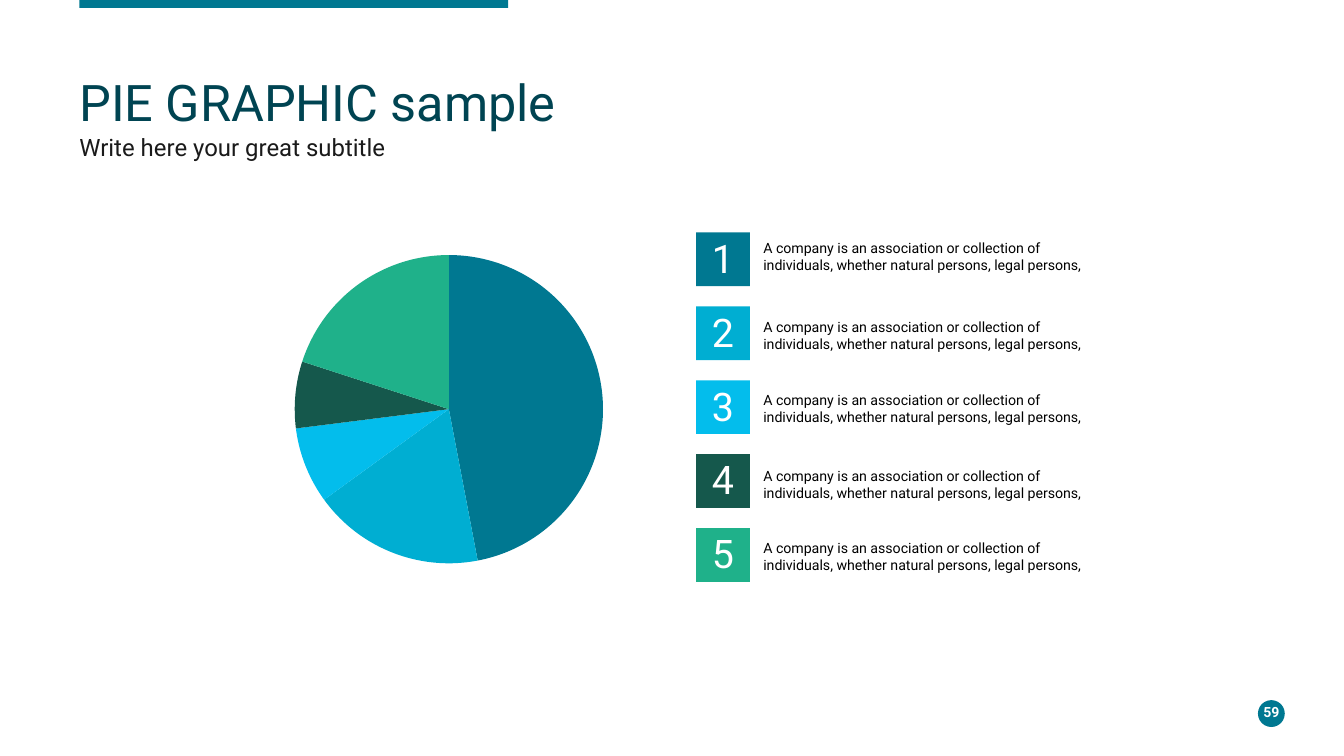
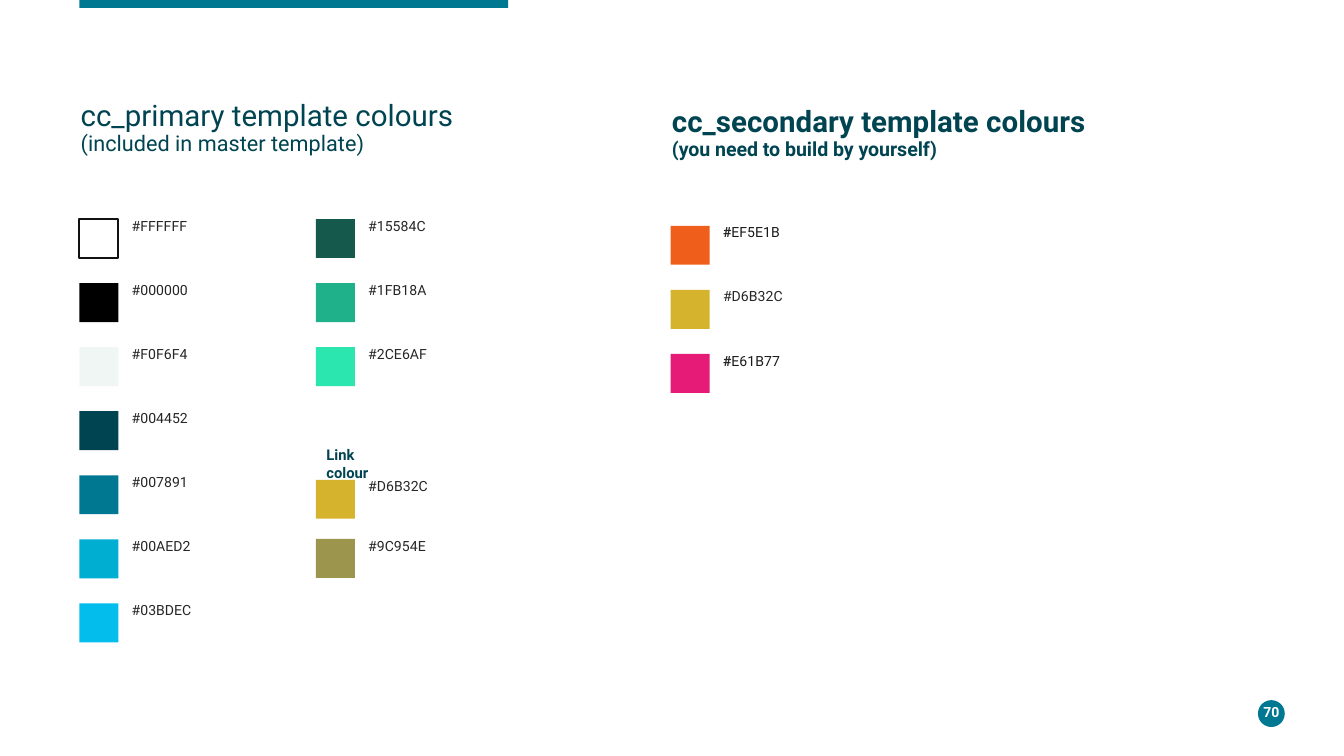
from dataclasses import dataclass

from pptx import Presentation
from pptx.chart.data import CategoryChartData
from pptx.dml.color import RGBColor
from pptx.enum.chart import XL_CHART_TYPE
from pptx.enum.shapes import MSO_SHAPE
from pptx.enum.text import MSO_ANCHOR, MSO_AUTO_SIZE, PP_ALIGN
from pptx.presentation import Presentation as Deck
from pptx.shapes.autoshape import Shape
from pptx.slide import Slide, SlideLayout
from pptx.text.text import Font, TextFrame
from pptx.util import Inches, Pt

RECTANGLE, OVAL = MSO_SHAPE.RECTANGLE, MSO_SHAPE.OVAL
TOP, MIDDLE = MSO_ANCHOR.TOP, MSO_ANCHOR.MIDDLE
LEFT, CENTER = PP_ALIGN.LEFT, PP_ALIGN.CENTER
NO_AUTOFIT = MSO_AUTO_SIZE.NONE
PIE = XL_CHART_TYPE.PIE
TITLE_ONLY = 5
PAGE_WIDTH = 10
PAGE_HEIGHT = PAGE_WIDTH * 9 / 16


@dataclass(frozen=True)
class Theme:
    font: str = "Roboto"
    white: str = "FFFFFF"
    black: str = "000000"
    heading: str = "004452"
    accent: str = "007891"
    subtitle: str = "1A1A1A"
    label: str = "262626"
    outline: str = "121212"
    title_size: float = 27
    heading_size: float = 15.8
    heading_note_size: float = 11.6
    secondary_note_size: float = 10.5
    subtitle_size: float = 12.8
    numeral_size: float = 21.1
    chart_size: float = 23.1
    body_size: float = 7.6
    label_size: float = 7.5
    link_size: float = 7.9
    tight: float = 0.9


THEME = Theme()


@dataclass(frozen=True)
class Area:
    left: float
    top: float
    width: float
    height: float


@dataclass(frozen=True)
class Span:
    text: str
    size: float
    color: str
    bold: bool = False


@dataclass(frozen=True)
class Entry:
    color: str
    share: int
    text_top: float


@dataclass(frozen=True)
class SwatchColumn:
    left: float
    top: float
    pitch: float
    codes: tuple[str, ...]


NO_INSET = (0, 0)
SMALL_INSET = (0.08, 0.04)
DEFAULT_INSET = (0.1, 0.05)

ENTRY_TEXT = (
    "A company is an association or collection of individuals, "
    "whether natural persons, legal persons,"
)
ENTRIES = (
    Entry("007891", 47, 1.74),
    Entry("00AED2", 18, 2.33),
    Entry("03BDEC", 8, 2.87),
    Entry("15584C", 7, 3.44),
    Entry("1FB18A", 20, 3.97),
)
ENTRY_LEFT, ENTRY_TOP, ENTRY_PITCH, ENTRY_SIDE = 5.18, 1.73, 0.55, 0.4

SWATCH_SIDE = 0.29
SWATCH_PITCH = 2.86 / 6
SWATCH_COLUMNS = (
    SwatchColumn(0.59, 1.63, SWATCH_PITCH,
                 ("FFFFFF", "000000", "F0F6F4", "004452", "007891", "00AED2", "03BDEC")),
    SwatchColumn(2.35, 1.63, SWATCH_PITCH, ("15584C", "1FB18A", "2CE6AF")),
    SwatchColumn(2.35, 3.57, 0.44, ("D6B32C", "9C954E")),
    SwatchColumn(4.99, 1.68, SWATCH_PITCH, ("EF5E1B", "D6B32C", "E61B77")),
)
BOLD_HASH_CODES = ("EF5E1B", "E61B77")


def rgb(color: str) -> RGBColor:
    return RGBColor.from_string(color)


def lengths(area: Area) -> tuple[Inches, ...]:
    return tuple(Inches(n) for n in (area.left, area.top, area.width, area.height))


def style_font(font: Font, span: Span) -> None:
    font.name = THEME.font
    font.size = Pt(span.size)
    font.color.rgb = rgb(span.color)
    font.bold = span.bold


def set_frame(frame: TextFrame, inset: tuple[float, float], anchor: MSO_ANCHOR) -> None:
    frame.word_wrap = True
    frame.auto_size = NO_AUTOFIT
    frame.vertical_anchor = anchor
    frame.margin_left = frame.margin_right = Inches(inset[0])
    frame.margin_top = frame.margin_bottom = Inches(inset[1])


def add_text(
    page: Slide,
    area: Area,
    *lines: tuple[Span, ...],
    inset: tuple[float, float] = NO_INSET,
    anchor: MSO_ANCHOR = TOP,
    align: PP_ALIGN = LEFT,
    spacing: float = 1.0,
) -> None:
    """Add a text box with one paragraph for each line of spans."""
    frame = page.shapes.add_textbox(*lengths(area)).text_frame
    set_frame(frame, inset, anchor)
    for index, spans in enumerate(lines):
        para = frame.add_paragraph() if index else frame.paragraphs[0]
        para.alignment = align
        para.line_spacing = spacing
        for span in spans:
            run = para.add_run()
            run.text = span.text
            if len(spans) > 1:
                style_font(run.font, span)
        if len(spans) == 1:
            style_font(para.font, spans[0])


def add_block(
    page: Slide, area: Area, color: str, kind: MSO_SHAPE = RECTANGLE, outline: str | None = None
) -> Shape:
    block = page.shapes.add_shape(kind, *lengths(area))
    block.shadow.inherit = False
    block.fill.solid()
    block.fill.fore_color.rgb = rgb(color)
    if outline:
        block.line.color.rgb = rgb(outline)
        block.line.width = Pt(1)
    else:
        block.line.fill.background()
    return block


def decorate_layout(layout: SlideLayout, page: Slide) -> None:
    """Draw the top band and number badge, then move them to the shared layout."""
    band = add_block(page, Area(0.59, 0, 3.19, 0.06), THEME.accent)
    badge = add_block(page, Area(9.36, 5.21, 0.2, 0.2), THEME.accent, OVAL)
    for block in (band, badge):
        layout.shapes.element.append(block.element)


def set_title(page: Slide, area: Area, *spans: Span) -> None:
    """Fill the title placeholder, one span to a line."""
    title = page.shapes.title
    title.left, title.top, title.width, title.height = lengths(area)
    set_frame(title.text_frame, NO_INSET, TOP)
    para = title.text_frame.paragraphs[0]
    para.alignment = LEFT
    para.line_spacing = THEME.tight
    for index, span in enumerate(spans):
        if index:
            para.add_line_break()
        run = para.add_run()
        run.text = span.text
        style_font(run.font, span)


def add_page_number(page: Slide, number: int) -> None:
    span = Span(str(number), THEME.label_size, THEME.white, True)
    add_text(page, Area(9.31, 5.22, 0.3, 0.16), (span,), anchor=MIDDLE, align=CENTER)


def add_entry(page: Slide, index: int, entry: Entry) -> None:
    top = ENTRY_TOP + index * ENTRY_PITCH
    add_block(page, Area(ENTRY_LEFT, top, ENTRY_SIDE, ENTRY_SIDE), entry.color)
    numeral = Span(str(index + 1), THEME.numeral_size, THEME.white)
    add_text(page, Area(ENTRY_LEFT + 0.03, top - 0.03, 0.34, 0.43), (numeral,),
             inset=SMALL_INSET, align=CENTER)
    body = Span(ENTRY_TEXT, THEME.body_size, THEME.black)
    add_text(page, Area(5.6, entry.text_top, 2.7, 0.39), (body,), inset=SMALL_INSET)


def add_pie(page: Slide) -> None:
    data = CategoryChartData()
    data.categories = [str(index + 1) for index in range(len(ENTRIES))]
    data.add_series("Series 1", [entry.share for entry in ENTRIES])
    chart = page.shapes.add_chart(PIE, *lengths(Area(1.69, 1.76, 3.3, 2.57)), data).chart
    chart.has_legend = False
    chart.has_title = False
    style_font(chart.font, Span("", THEME.chart_size, THEME.black))
    plot = chart.plots[0]
    plot.vary_by_categories = True
    for index, entry in enumerate(ENTRIES):
        slice_format = plot.series[0].points[index].format
        slice_format.fill.solid()
        slice_format.fill.fore_color.rgb = rgb(entry.color)
        slice_format.line.fill.background()


def add_swatch(page: Slide, left: float, top: float, code: str) -> None:
    outline = THEME.outline if code == THEME.white else None
    add_block(page, Area(left, top, SWATCH_SIDE, SWATCH_SIDE), code, outline=outline)
    if code in BOLD_HASH_CODES:
        spans = (Span("#", THEME.label_size, THEME.label, True),
                 Span(code, THEME.label_size, THEME.subtitle))
    else:
        spans = (Span(f"#{code}", THEME.label_size, THEME.label),)
    add_text(page, Area(left + 0.39, top, 1.07, SWATCH_SIDE), spans, spacing=THEME.tight)


def fill_pie_page(page: Slide) -> None:
    set_title(page, Area(0.59, 0.58, 8.72, 0.43),
              Span("PIE GRAPHIC sample", THEME.title_size, THEME.heading))
    subtitle = Span("Write here your great subtitle", THEME.subtitle_size, THEME.subtitle)
    add_text(page, Area(0.59, 1.01, 3.22, 0.16), (subtitle,), spacing=THEME.tight)
    for index, entry in enumerate(ENTRIES):
        add_entry(page, index, entry)
    add_pie(page)
    add_page_number(page, 59)


def fill_colour_page(page: Slide) -> None:
    set_title(page, Area(0.6, 0.75, 3.3, 0.43),
              Span("cc_primary template colours", THEME.heading_size, THEME.heading),
              Span("(included in master template)", THEME.heading_note_size, THEME.heading))
    add_text(
        page, Area(5, 0.8, 3.3, 0.43),
        (Span("cc_secondary template colours", THEME.heading_size, THEME.heading, True),),
        (Span("(you need to build by yourself)", THEME.secondary_note_size, THEME.heading, True),),
        spacing=THEME.tight,
    )
    for column in SWATCH_COLUMNS:
        for index, code in enumerate(column.codes):
            add_swatch(page, column.left, column.top + index * column.pitch, code)
    link = Span("Link colour", THEME.link_size, THEME.heading, True)
    add_text(page, Area(2.33, 3.27, 0.71, 0.23), (link,), inset=DEFAULT_INSET)
    add_page_number(page, 70)


def build_deck() -> Deck:
    deck = Presentation()
    deck.slide_width, deck.slide_height = Inches(PAGE_WIDTH), Inches(PAGE_HEIGHT)
    layout = deck.slide_layouts[TITLE_ONLY]
    pie_page = deck.slides.add_slide(layout)
    decorate_layout(layout, pie_page)
    fill_pie_page(pie_page)
    fill_colour_page(deck.slides.add_slide(layout))
    return deck


def main() -> None:
    build_deck().save("out.pptx")


if __name__ == "__main__":
    main()
